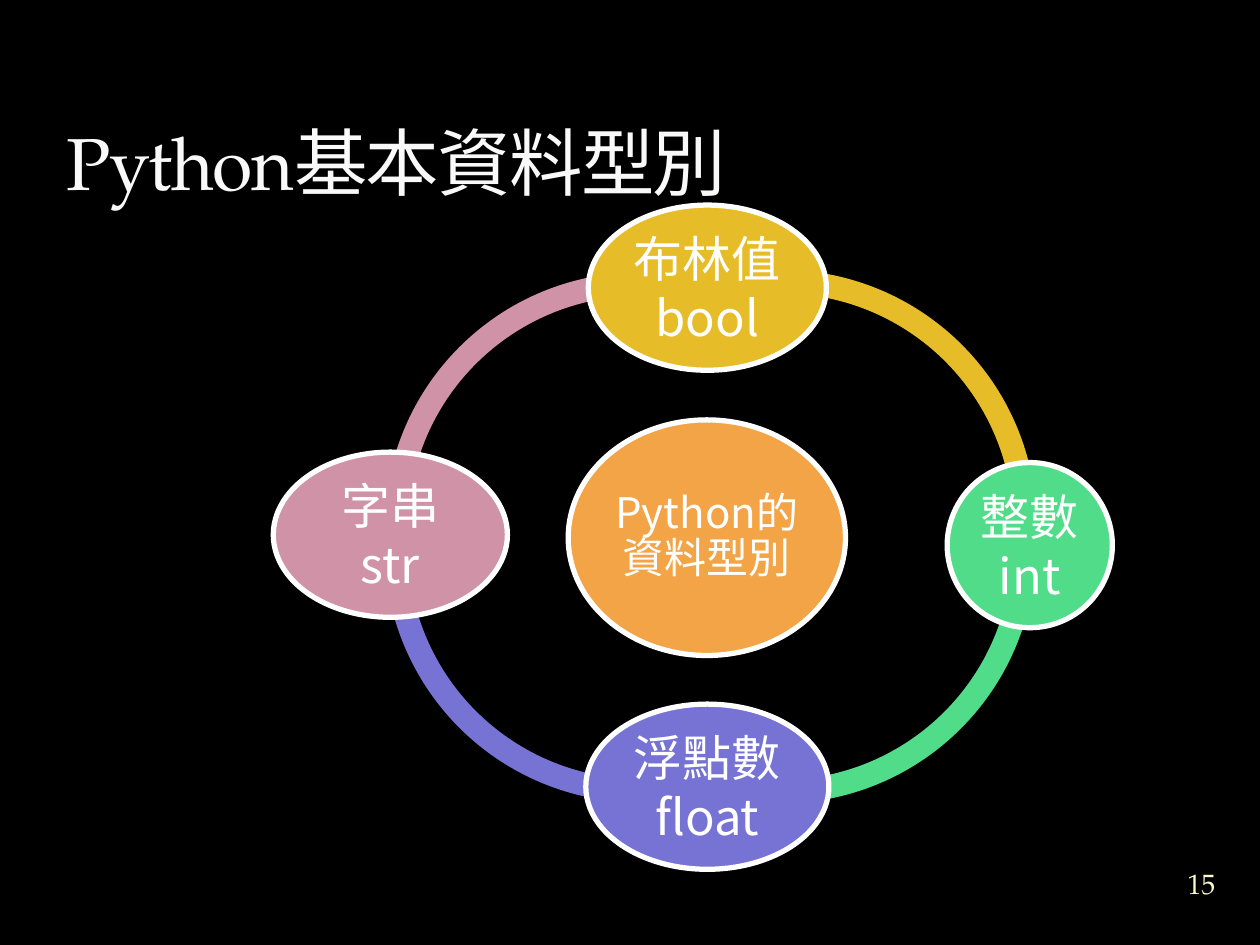
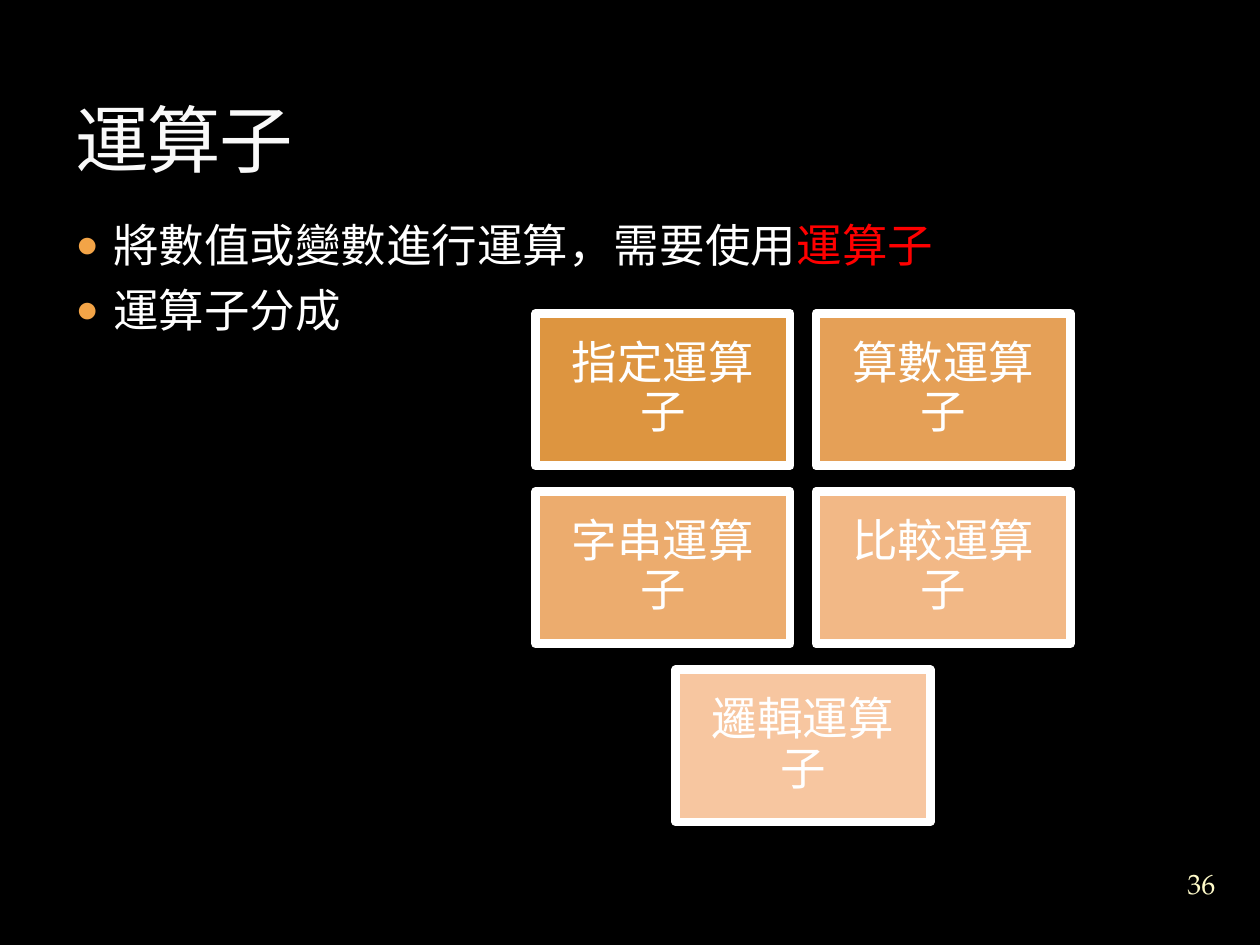
from lxml import etree
from pptx import Presentation
from pptx.dml.color import RGBColor
from pptx.enum.shapes import MSO_SHAPE
from pptx.enum.text import MSO_ANCHOR, MSO_AUTO_SIZE, PP_ALIGN
from pptx.oxml.ns import qn
from pptx.util import Cm, Pt

ARC, OVAL, RECTANGLE = MSO_SHAPE.BLOCK_ARC, MSO_SHAPE.OVAL, MSO_SHAPE.RECTANGLE
LEFT, CENTER = PP_ALIGN.LEFT, PP_ALIGN.CENTER
MIDDLE, BOTTOM, TOP = MSO_ANCHOR.MIDDLE, MSO_ANCHOR.BOTTOM, MSO_ANCHOR.TOP

SERIF = "TeX Gyre Pagella"
SANS = "Noto Sans CJK SC"
COLORS = {
    "background": "000000",
    "title": "F9F9F9",
    "text": "FFFFFF",
    "number": "FEFAC9",
    "highlight": "FF0000",
    "orange": "F3A447",
    "yellow": "E7BC29",
    "green": "50DC88",
    "violet": "7673D4",
    "pink": "D092A7",
    "operator 1": "DD9540",
    "operator 2": "E5A057",
    "operator 3": "ECAC6E",
    "operator 4": "F2B886",
    "operator 5": "F7C6A0",
}

ARC_SIZE = 10.31
ARC_THICKNESS = 0.046
ARCS = [
    ("pink", 7.75, 5.49, 178.33, 285.59),
    ("violet", 7.75, 5.87, 74.37, 182.56),
    ("green", 10.57, 5.89, 359.32, 107.02),
    ("yellow", 10.59, 5.44, 252.8, 4.4),
]
TYPE_HEIGHT = 3.33
TYPES = [
    ("yellow", ["布林值bool"], 14.26, 5.8, 4.8),
    ("green", ["整數", "int"], 20.76, 10.99, 3.33),
    ("violet", ["浮點數", "float"], 14.26, 15.86, 4.9),
    ("pink", ["字串str"], 7.87, 10.78, 4.72),
]
OPERATORS = ["指定運算子", "算數運算子", "字串運算子", "比較運算子", "邏輯運算子"]


def rgb(name):
    return RGBColor.from_string(COLORS[name])


def place(shape, left, top, width, height):
    shape.left, shape.top = Cm(left), Cm(top)
    shape.width, shape.height = Cm(width), Cm(height)


def style_font(paragraph, name, size, color):
    paragraph.font.name = name
    paragraph.font.size = Pt(size)
    paragraph.font.color.rgb = rgb(color)


def set_frame(frame, anchor, inset=None):
    frame.word_wrap = True
    frame.auto_size = MSO_AUTO_SIZE.NONE
    frame.vertical_anchor = anchor
    if inset is not None:
        frame.margin_left = frame.margin_right = Cm(inset)
        frame.margin_top = frame.margin_bottom = Cm(inset)


def write_lines(frame, lines, font, size, color, spacing=1.0):
    for index, line in enumerate(lines):
        paragraph = frame.add_paragraph() if index else frame.paragraphs[0]
        paragraph.text = line
        paragraph.alignment = CENTER
        paragraph.line_spacing = spacing
        style_font(paragraph, font, size, color)


def add_title(slide, text, left, top, width, height):
    title = slide.shapes.title
    place(title, left, top, width, height)
    set_frame(title.text_frame, BOTTOM)
    paragraph = title.text_frame.paragraphs[0]
    paragraph.text = text
    paragraph.alignment = LEFT
    style_font(paragraph, SERIF, 42, "title")
    paragraph.font._element.set("spc", "-100")


def add_number(slide, number):
    box = slide.shapes.add_textbox(Cm(23.37), Cm(17.17), Cm(1.7), Cm(1.27))
    set_frame(box.text_frame, MIDDLE, 0)
    write_lines(box.text_frame, [str(number)], SERIF, 16, "number")


def add_filled_shape(slide, kind, color, left, top, width, height, line_width=0):
    shape = slide.shapes.add_shape(kind, Cm(left), Cm(top), Cm(width), Cm(height))
    shape.shadow.inherit = False
    shape.fill.solid()
    shape.fill.fore_color.rgb = rgb(color)
    if line_width:
        shape.line.color.rgb = rgb("text")
        shape.line.width = Pt(line_width)
    else:
        shape.line.fill.background()
    return shape


def add_arc(slide, color, left, top, start, end):
    arc = add_filled_shape(slide, ARC, color, left, top, ARC_SIZE, ARC_SIZE)
    arc.adjustments[0] = start * 0.6
    arc.adjustments[1] = end * 0.6
    arc.adjustments[2] = ARC_THICKNESS


def add_oval(slide, color, lines, center_x, center_y, width, height, size, inset, spacing=1.0):
    left, top = center_x - width / 2, center_y - height / 2
    oval = add_filled_shape(slide, OVAL, color, left, top, width, height, 3)
    set_frame(oval.text_frame, MIDDLE, inset)
    write_lines(oval.text_frame, lines, SANS, size, "text", spacing)


def add_bullet(paragraph):
    properties = paragraph._p.get_or_add_pPr()
    properties.set("marL", str(Cm(0.76)))
    properties.set("indent", str(-Cm(0.76)))
    color = etree.SubElement(properties, qn("a:buClr"))
    etree.SubElement(color, qn("a:srgbClr"), val=COLORS["orange"])
    etree.SubElement(properties, qn("a:buSzPct"), val="85000")
    etree.SubElement(properties, qn("a:buChar"), char="●")


def add_bullet_list(slide, items):
    body = slide.placeholders[1]
    place(body, 1.27, 4.24, 22.86, 12.7)
    frame = body.text_frame
    set_frame(frame, TOP)
    for index, runs in enumerate(items):
        paragraph = frame.add_paragraph() if index else frame.paragraphs[0]
        add_bullet(paragraph)
        paragraph.space_before = Pt(6 if index else 0)
        style_font(paragraph, SERIF, 26, "text")
        for text, color in runs:
            run = paragraph.add_run()
            run.text = text
            if color != "text":
                run.font.color.rgb = rgb(color)


def add_operator_grid(slide):
    left, top, width, height, gap, columns = 10.8, 6.32, 5.13, 3.07, 0.52, 2
    for index, name in enumerate(OPERATORS):
        row, column = divmod(index, columns)
        in_row = min(columns, len(OPERATORS) - row * columns)
        shift = column + (columns - in_row) / 2
        card = add_filled_shape(
            slide, RECTANGLE, f"operator {index + 1}",
            left + shift * (width + gap), top + row * (height + gap), width, height, 5)
        set_frame(card.text_frame, MIDDLE, 0.28)
        write_lines(card.text_frame, [name], SANS, 26, "text", 0.9)


def build_types_slide(presentation):
    slide = presentation.slides.add_slide(presentation.slide_layouts[5])
    add_number(slide, 15)
    add_title(slide, "Python基本資料型別", 1.09, 1.52, 22.86, 2.74)
    for arc in ARCS:
        add_arc(slide, *arc)
    add_oval(slide, "orange", ["Python的資料型別"], 14.25, 10.84, 5.59, 4.75, 24, 0.08, 0.9)
    for color, lines, center_x, center_y, width in TYPES:
        add_oval(slide, color, lines, center_x, center_y, width, TYPE_HEIGHT, 28, 0.1)


def build_operators_slide(presentation):
    slide = presentation.slides.add_slide(presentation.slide_layouts[1])
    add_bullet_list(slide, [
        [("將數值或變數進行運算，需要使用", "text"), ("運算子", "highlight")],
        [("運算子分成", "text")],
    ])
    add_number(slide, 36)
    add_title(slide, "運算子", 1.27, 0.43, 22.86, 3.38)
    add_operator_grid(slide)


def main():
    presentation = Presentation()
    presentation.slide_width, presentation.slide_height = Cm(25.4), Cm(19.05)
    background = presentation.slide_master.background.fill
    background.solid()
    background.fore_color.rgb = rgb("background")
    build_types_slide(presentation)
    build_operators_slide(presentation)
    presentation.save("out.pptx")


if __name__ == "__main__":
    main()
